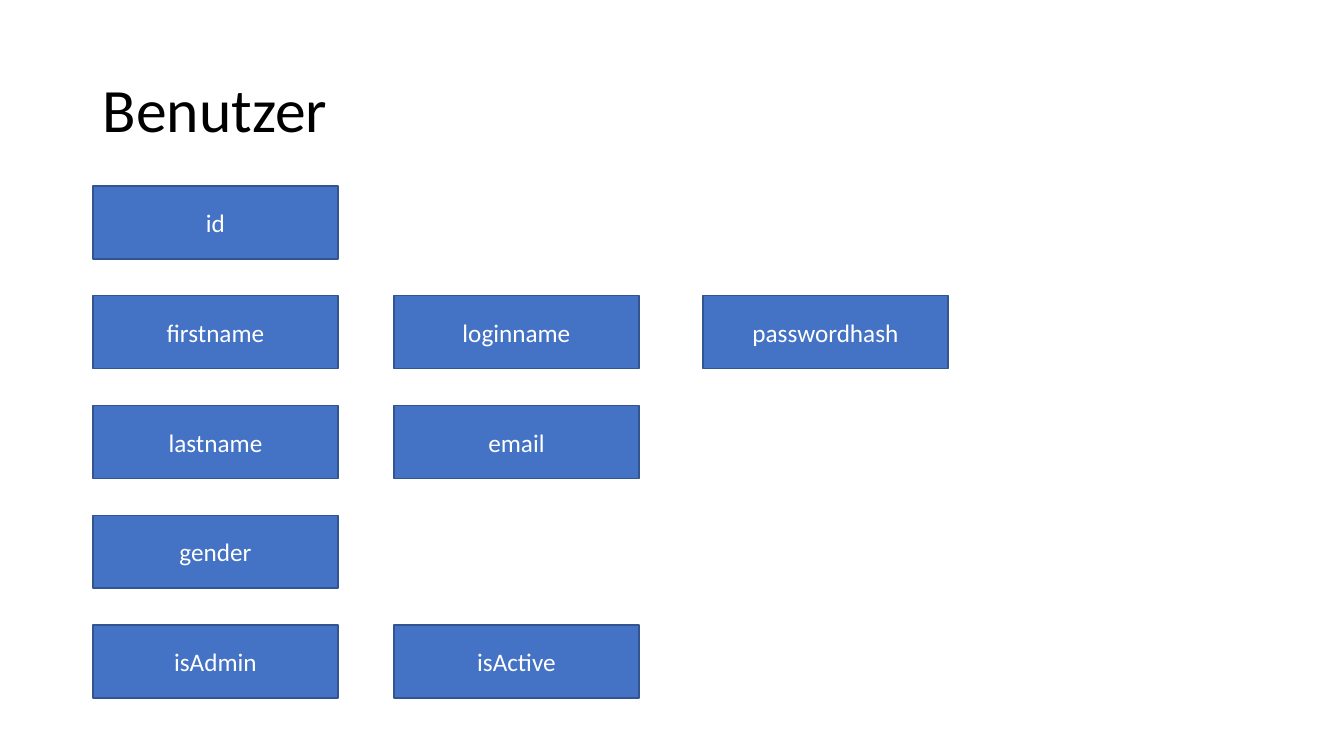
from pptx import Presentation
from pptx.dml.color import RGBColor
from pptx.enum.shapes import MSO_SHAPE
from pptx.enum.text import MSO_ANCHOR, PP_ALIGN
from pptx.util import Pt

PIXEL = 914400 / 100.8
FONT = "Calibri"
WHITE = RGBColor(0xFF, 0xFF, 0xFF)
BLACK = RGBColor(0x00, 0x00, 0x00)
BLUE = RGBColor(0x44, 0x72, 0xC4)
DARK_BLUE = RGBColor(0x32, 0x54, 0x91)

FIELD_WIDTH, FIELD_HEIGHT = 245, 73
COLUMN_OFFSETS = (0, 301, 610)
FIELD_ROWS = (
    ("id",),
    ("firstname", "loginname", "passwordhash"),
    ("lastname", "email"),
    ("gender",),
    ("isAdmin", "isActive"),
)


def emu(*pixels):
    """Turn pixel lengths into EMU."""
    return [round(length * PIXEL) for length in pixels]


def write_text(shape, text, size, color, alignment):
    """Put one vertically centred line of text into a shape."""
    frame = shape.text_frame
    frame.word_wrap = True
    frame.vertical_anchor = MSO_ANCHOR.MIDDLE
    para = frame.paragraphs[0]
    para.alignment = alignment
    span = para.add_run()
    span.text = text
    span.font.name = FONT
    span.font.size = Pt(size)
    span.font.color.rgb = color
    return para


def add_title(page, box, text):
    """Place the heading in the given box."""
    title = page.shapes.add_textbox(*emu(*box))
    para = write_text(title, text, 44, BLACK, PP_ALIGN.LEFT)
    para.line_spacing = 0.9


def add_field(page, box, name):
    """Draw one attribute rectangle in the given box."""
    field = page.shapes.add_shape(MSO_SHAPE.RECTANGLE, *emu(*box))
    field.shadow.inherit = False
    field.fill.solid()
    field.fill.fore_color.rgb = BLUE
    field.line.color.rgb = DARK_BLUE
    field.line.width = Pt(1)
    write_text(field, name, 18, WHITE, PP_ALIGN.CENTER)


def add_field_grid(page, box, rows):
    """Spread rows of attributes evenly over the height of the box."""
    left, top, _, height = box
    pitch = (height - FIELD_HEIGHT) / (len(rows) - 1)
    for index, names in enumerate(rows):
        for offset, name in zip(COLUMN_OFFSETS, names):
            place = (left + offset, top + index * pitch, FIELD_WIDTH, FIELD_HEIGHT)
            add_field(page, place, name)


def build_user_slide(deck):
    """Add the slide that lists the attributes of a user."""
    page = deck.slides.add_slide(deck.slide_layouts[6])
    page.background.fill.solid()
    page.background.fill.fore_color.rgb = WHITE
    add_title(page, (93, 40, 1159, 146), "Benutzer")
    add_field_grid(page, (93, 186, 855, 512), FIELD_ROWS)


deck = Presentation()
deck.slide_width, deck.slide_height = emu(1344, 756)
build_user_slide(deck)
deck.save("out.pptx")
